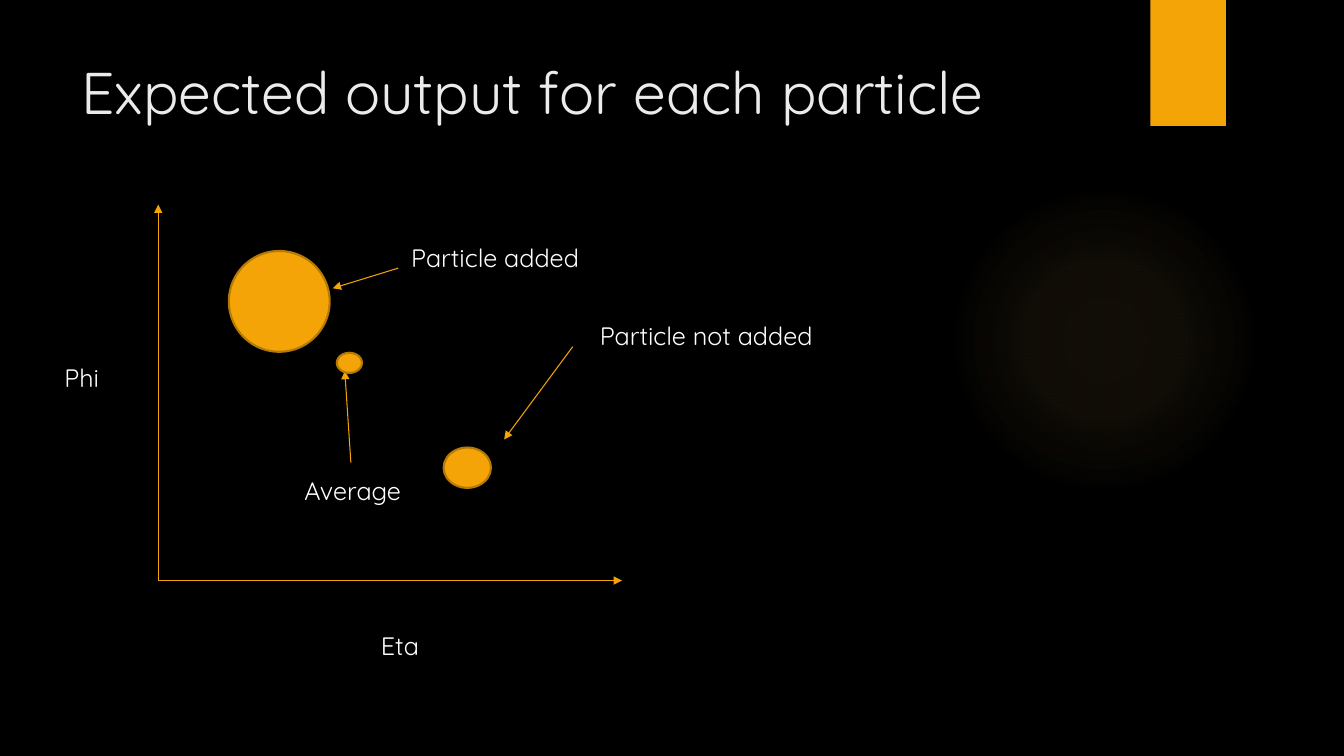
from lxml.etree import SubElement
from pptx import Presentation
from pptx.dml.color import RGBColor
from pptx.enum.shapes import MSO_CONNECTOR, MSO_SHAPE
from pptx.enum.text import MSO_ANCHOR, MSO_AUTO_SIZE
from pptx.oxml import parse_xml
from pptx.oxml.ns import nsdecls, qn
from pptx.util import Inches, Pt

BLACK = RGBColor(0x00, 0x00, 0x00)
WHITE = RGBColor(0xFF, 0xFF, 0xFF)
PALE = RGBColor(0xEB, 0xEB, 0xEB)
GOLD = RGBColor(0xF5, 0xA4, 0x08)
BROWN = RGBColor(0xB5, 0x79, 0x06)
GLOW = RGBColor(0xFA, 0xC9, 0x6A)


def write(frame, text, size=18, color=WHITE, font="Quicksand"):
    run = frame.paragraphs[0].add_run()
    run.text = text
    run.font.size = Pt(size)
    run.font.name = font
    run.font.color.rgb = color


class Board:
    """Places elements on a grid of ten columns and ten rows to the inch."""

    cell = Inches(0.1)

    def __init__(self, slide):
        self.slide = slide
        self.shapes = slide.shapes
        back = slide.background.fill
        back.solid()
        back.fore_color.rgb = BLACK

    def grid(self, *cells):
        return [round(n * self.cell) for n in cells]

    def shape(self, kind, *box, edge=None):
        item = self.shapes.add_shape(kind, *self.grid(*box))
        item.shadow.inherit = False
        item.fill.solid()
        item.fill.fore_color.rgb = GOLD
        if edge is None:
            item.line.fill.background()
        else:
            item.line.color.rgb = edge
            item.line.width = Pt(1.5)
        return item

    def dot(self, *box):
        return self.shape(MSO_SHAPE.OVAL, *box, edge=BROWN)

    def glow(self, *box, stops):
        item = self.shape(MSO_SHAPE.OVAL, *box)
        marks = "".join(
            f'<a:gs pos="{at * 1000}"><a:srgbClr val="{GLOW}">'
            f'<a:alpha val="{alpha * 1000}"/></a:srgbClr></a:gs>'
            for at, alpha in stops)
        grad = parse_xml(
            f'<a:gradFill {nsdecls("a")}><a:gsLst>{marks}</a:gsLst>'
            '<a:path path="circle"><a:fillToRect l="50000" t="50000" '
            'r="50000" b="50000"/></a:path></a:gradFill>')
        props = item._element.spPr
        props.replace(props.find(qn("a:solidFill")), grad)

    def tab(self, *box):
        item = self.shape(MSO_SHAPE.RECTANGLE, *box)
        item._element.spPr.find(qn("a:effectLst")).append(parse_xml(
            f'<a:outerShdw {nsdecls("a")} blurRad="{Pt(3)}" dist="{Pt(2)}" '
            f'dir="5400000" rotWithShape="0"><a:srgbClr val="{BLACK}">'
            '<a:alpha val="45000"/></a:srgbClr></a:outerShdw>'))

    def arrow(self, *ends):
        item = self.shapes.add_connector(
            MSO_CONNECTOR.STRAIGHT, *self.grid(*ends))
        item.line.color.rgb = GOLD
        item.line.width = Pt(0.75)
        SubElement(item.line._get_or_add_ln(), qn("a:tailEnd"), type="triangle")
        SubElement(item._element.spPr, qn("a:effectLst"))

    def text(self, text, *box, wrap=False, **style):
        frame = self.shapes.add_textbox(*self.grid(*box)).text_frame
        frame.word_wrap = wrap
        frame.auto_size = (
            MSO_AUTO_SIZE.NONE if wrap else MSO_AUTO_SIZE.SHAPE_TO_FIT_TEXT)
        frame.vertical_anchor = MSO_ANCHOR.TOP
        write(frame, text, **style)


def main():
    deck = Presentation()
    deck.slide_width, deck.slide_height = Inches(13.33), Inches(7.5)
    board = Board(deck.slides.add_slide(deck.slide_layouts[6]))

    # Backdrop and title
    board.glow(94.1, 18.3, 30.8, 30.8, stops=[(0, 7), (36, 6), (69, 0)])
    board.tab(114.1, 0, 7.5, 12.5)
    board.text("Expected output for each particle", 7.1, 5, 102.9, 15.3,
               wrap=True, size=42, color=PALE)

    # Axes, sharing one origin
    left, base = 15.7, 57.6
    board.arrow(left, base, left, 20.3)
    board.arrow(left, base, 61.7, base)

    # Particles and their pointers
    board.dot(22.7, 24.9, 10, 10)
    board.dot(44, 44.4, 4.7, 4)
    board.arrow(39.5, 26.6, 33, 28.6)
    board.arrow(56.8, 34.4, 50, 43.6)
    board.arrow(34.8, 45.9, 34.2, 36.8)
    board.dot(33.4, 35, 2.5, 2)

    # Labels
    for text, col, row, width in (
        ("Eta", 36.8, 62, 5.9),
        ("Phi", 5.4, 35.5, 5.6),
        ("Particle added", 39.8, 23.5, 20.4),
        ("Particle not added", 58.5, 31.3, 25.2),
        ("Average", 29.2, 46.7, 12.8),
    ):
        board.text(text, col, row, width, 4)

    deck.save("out.pptx")


if __name__ == "__main__":
    main()
